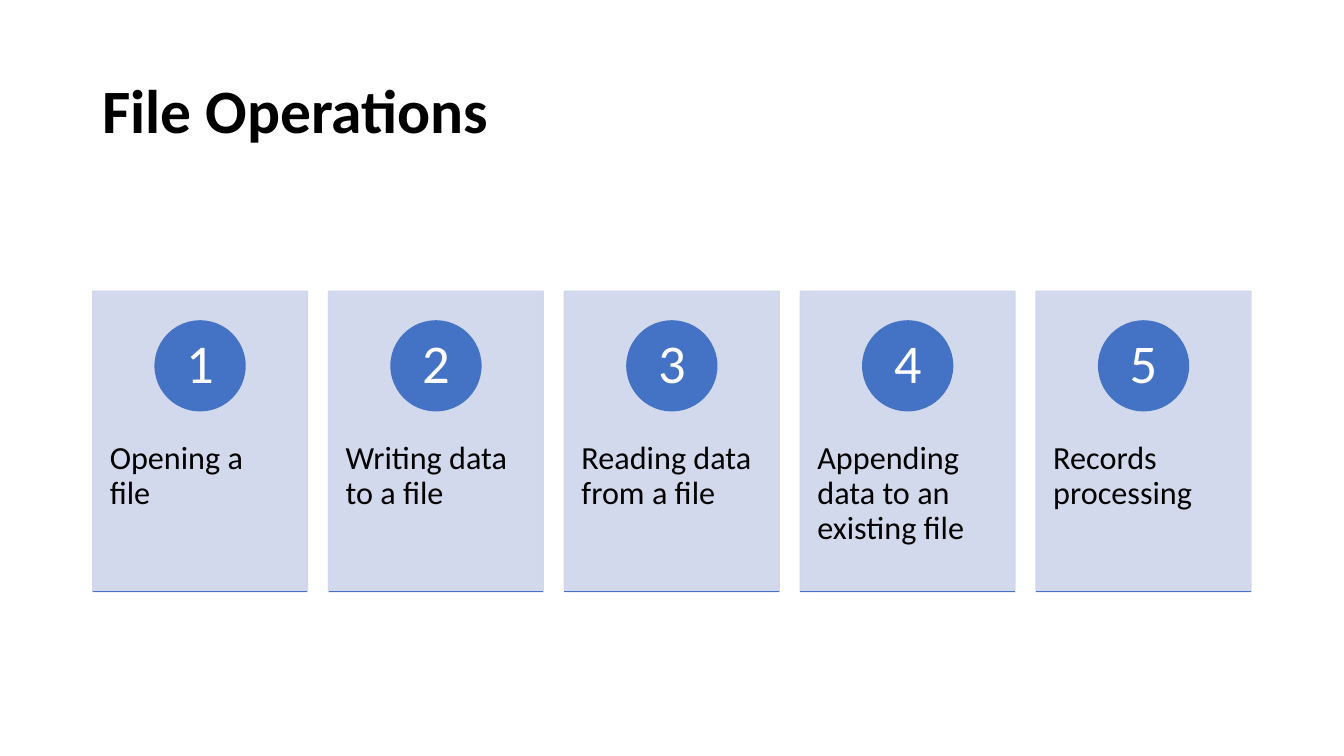
from pptx import Presentation
from pptx.dml.color import RGBColor
from pptx.enum.shapes import MSO_CONNECTOR as Link, MSO_SHAPE as Kind
from pptx.enum.text import MSO_ANCHOR as Anchor, MSO_AUTO_SIZE as Fit, PP_ALIGN as Align
from pptx.oxml.ns import qn
from pptx.util import Pt
from lxml.etree import SubElement as Sub

BLUE, PALE, BLACK, WHITE = "4472C4", "CFD5EA", "000000", "FFFFFF"
STEPS = ["Opening a file", "Writing data to a file", "Reading data from a file",
         "Appending data to an existing file", "Records processing"]


def tint(part, code):
    """Give a fill or a font colour object a solid hex colour."""
    if hasattr(part, "solid"):
        part.solid()
        part = part.fore_color
    part.rgb = RGBColor.from_string(code)


def put(item, values):
    for name, value in values.items():
        setattr(item, name, value)


class Deck:
    font = "Calibri"

    def __init__(self, wide, high):
        self.show = Presentation()
        put(self.show, {"slide_width": Pt(wide), "slide_height": Pt(high)})
        self.slide = self.show.slides.add_slide(self.show.slide_layouts[5])

    def text(self, shape, words, size, code, bold=False, align=Align.LEFT,
             anchor=Anchor.TOP, inset=(7.2, 3.6)):
        side, end = map(Pt, inset)
        frame = shape.text_frame
        put(frame, {"text": words, "word_wrap": True, "auto_size": Fit.NONE,
                    "vertical_anchor": anchor, "margin_left": side,
                    "margin_right": side, "margin_top": end, "margin_bottom": end})
        para = frame.paragraphs[0]
        put(para, {"alignment": align, "line_spacing": 0.9})
        font = para.runs[0].font
        put(font, {"name": self.font, "size": Pt(size), "bold": bold})
        tint(font.color, code)

    def title(self, words, box):
        shape = self.slide.shapes.title
        put(shape, dict(zip(("left", "top", "width", "height"), map(Pt, box))))
        self.text(shape, words, 44, BLACK, bold=True, anchor=Anchor.MIDDLE)

    def shape(self, kind, box, code, alpha=100):
        shape = self.slide.shapes.add_shape(kind, *map(Pt, box))
        shape.shadow.inherit = False
        tint(shape.fill, code)
        tint(shape.line.fill, code)
        shape.line.width = Pt(1)
        if alpha < 100:
            for node in shape._element.spPr.findall(".//" + qn("a:srgbClr")):
                Sub(node, qn("a:alpha"), val=str(alpha * 1000))
        return shape

    def label(self, words, box):
        shape = self.slide.shapes.add_textbox(*map(Pt, box))
        self.text(shape, words, 23, BLACK, inset=(12.2, 26))

    def badge(self, words, box):
        shape = self.shape(Kind.OVAL, box, BLUE)
        self.text(shape, words, 39, WHITE, align=Align.CENTER,
                  anchor=Anchor.MIDDLE, inset=(5, 1))

    def rule(self, left, top, wide):
        ends = map(Pt, (left, top, left + wide, top))
        line = self.slide.shapes.add_connector(Link.STRAIGHT, *ends)
        tint(line.line.fill, BLUE)
        line.line.width = Pt(1)
        Sub(line._element.spPr, qn("a:effectLst"))


def main():
    deck = Deck(960, 540)

    # Title
    deck.title("File Operations", (66, 28.75, 828, 104.4))

    # Numbered cards
    left, top, wide, high = 66.24, 208, 153.36, 214.6
    pitch, disc = 168.48, 64.2
    for num, words in enumerate(STEPS):
        x = left + num * pitch
        deck.shape(Kind.RECTANGLE, (x, top, wide, high), PALE, alpha=90)
        deck.label(words, (x, top + 81.5, wide, 128.8))
        deck.badge(str(num + 1), (x + (wide - disc) / 2, top + 21.2, disc, disc))
        deck.rule(x, top + high, wide)

    deck.show.save("out.pptx")


if __name__ == "__main__":
    main()
